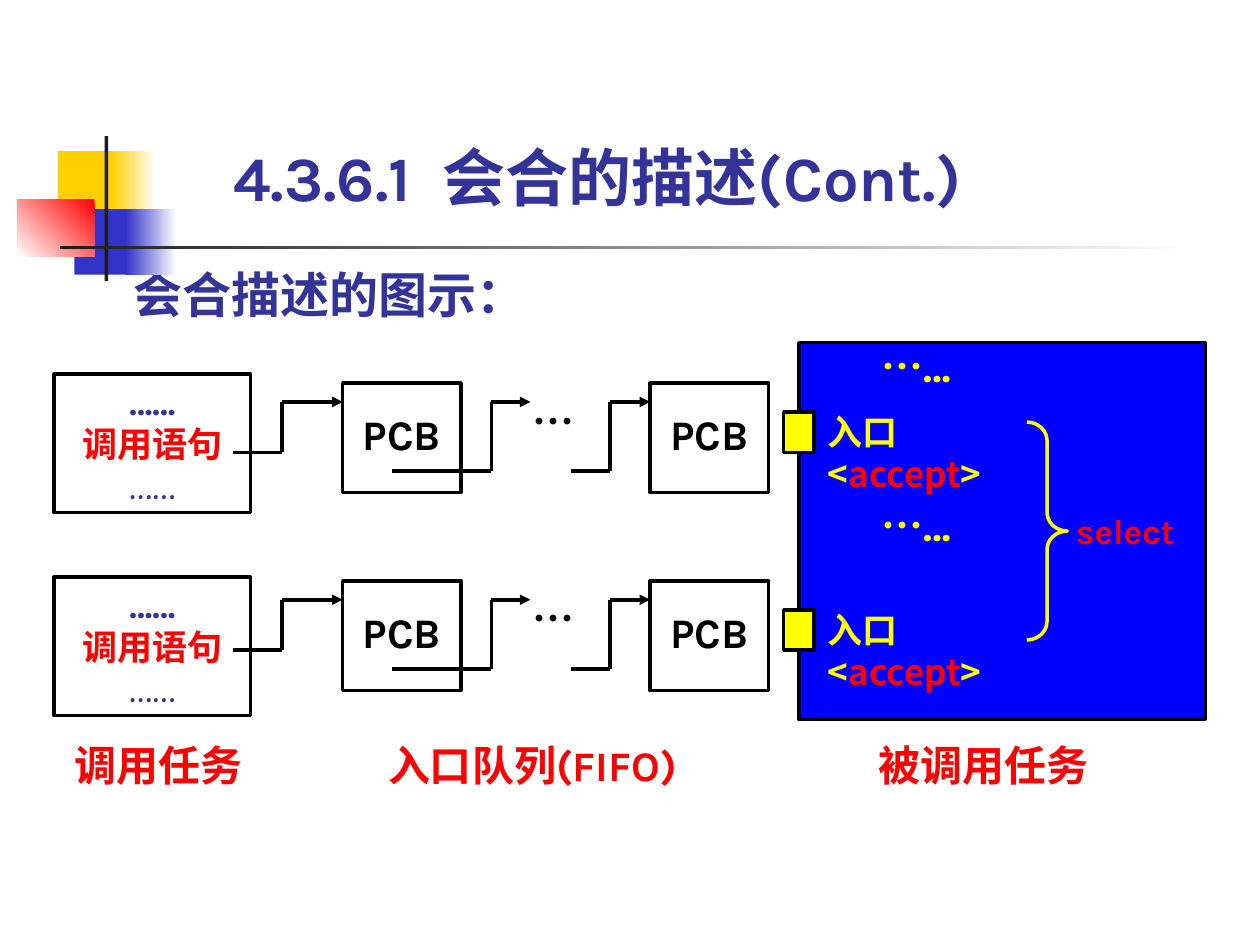
from pptx import Presentation
from pptx.dml.color import RGBColor
from pptx.enum.shapes import MSO_CONNECTOR, MSO_SHAPE
from pptx.enum.text import MSO_ANCHOR, MSO_AUTO_SIZE, PP_ALIGN
from pptx.oxml.ns import qn
from pptx.util import Inches, Pt
from lxml import etree

RECT, BRACE = MSO_SHAPE.RECTANGLE, MSO_SHAPE.RIGHT_BRACE
STRAIGHT = MSO_CONNECTOR.STRAIGHT
LEFT, CENTER = PP_ALIGN.LEFT, PP_ALIGN.CENTER
TOP, MIDDLE, BOTTOM = MSO_ANCHOR.TOP, MSO_ANCHOR.MIDDLE, MSO_ANCHOR.BOTTOM
NO_FIT = MSO_AUTO_SIZE.NONE

BLACK = RGBColor(0x00, 0x00, 0x00)
WHITE = RGBColor(0xFF, 0xFF, 0xFF)
DARK = RGBColor(0x1C, 0x1C, 0x1C)
RED = RGBColor(0xFF, 0x00, 0x00)
YELLOW = RGBColor(0xFF, 0xFF, 0x00)
GOLD = RGBColor(0xFF, 0xCF, 0x01)
BLUE = RGBColor(0x00, 0x00, 0xFF)
INDIGO = RGBColor(0x33, 0x33, 0xCC)
NAVY = RGBColor(0x33, 0x33, 0x99)
KARLA, COMIC, NOTO = "Karla", "Comic Neue", "Noto Sans CJK SC"

prs = Presentation()
prs.slide_width, prs.slide_height = Inches(10), Inches(7.5)
s = prs.slides.add_slide(prs.slide_layouts[1])


def add_rect(box, fill=None, line=None, shape=RECT):
    """Add a shape; fill is None, a colour or (first colour, last colour, angle)."""
    sp = s.shapes.add_shape(shape, *[Inches(v) for v in box])
    sp.shadow.inherit = False
    if fill is None:
        sp.fill.background()
    elif isinstance(fill, RGBColor):
        sp.fill.solid()
        sp.fill.fore_color.rgb = fill
    else:
        sp.fill.gradient()
        sp.fill.gradient_angle = fill[2]
        for stop, color in zip(sp.fill.gradient_stops, fill):
            stop.color.rgb = color
    if line is None:
        sp.line.fill.background()
    else:
        sp.line.color.rgb = line
        sp.line.width = Pt(2)
    return sp


def write(sp, paragraphs, size, align=LEFT, anchor=TOP, insets=(0, 0, 0, 0), spacing=None):
    """Fill a shape with bold text; each paragraph is a list of (text, font, colour)."""
    tf = sp.text_frame
    tf.word_wrap, tf.auto_size, tf.vertical_anchor = True, NO_FIT, anchor
    tf.margin_left, tf.margin_top, tf.margin_right, tf.margin_bottom = [Inches(v) for v in insets]
    for i, runs in enumerate(paragraphs):
        p = tf.add_paragraph() if i else tf.paragraphs[0]
        p.alignment, p.line_spacing, p.space_before = align, spacing, Pt(0)
        for text, font, color in runs:
            if text == "\n":
                p.add_line_break()
                continue
            r = p.add_run()
            r.text = text
            r.font.name, r.font.size, r.font.bold = font, Pt(size), True
            r.font.color.rgb = color
            etree.SubElement(r.font._element, qn("a:ea"), typeface=font)


# Corner decoration and rule under the title
for box, fill in (
    ((0.46, 1.2, 0.48, 0.52), GOLD),
    ((0.88, 1.2, 0.36, 0.52), (WHITE, GOLD, 180)),
    ((0.59, 1.66, 0.46, 0.52), INDIGO),
    ((1, 1.66, 0.4, 0.52), (WHITE, INDIGO, 180)),
    ((0.14, 1.58, 0.61, 0.46), (RED, WHITE, 225)),
    ((0.83, 1.08, 0.03, 1.15), DARK),
    ((0.48, 1.95, 9, 0.03), (WHITE, DARK, 180)),
):
    add_rect(box, fill)

# Title and subheading
title, body = s.placeholders
for sp, box, text, size in (
    (title, (1.85, 1.1, 6.61, 0.6), "4.3.6.1  会合的描述(Cont.)", 36),
    (body, (1.06, 2.1, 3.7, 0.47), "会合描述的图示：", 28),
):
    sp.left, sp.top, sp.width, sp.height = [Inches(v) for v in box]
    write(sp, [[(text, KARLA, NAVY)]], size, anchor=BOTTOM)
pPr = body.text_frame.paragraphs[0]._p.get_or_add_pPr()
pPr.set("marL", "0")
pPr.set("indent", "0")
etree.SubElement(pPr, qn("a:buNone"))

# Called task
add_rect((6.34, 2.72, 3.23, 2.99), BLUE, BLACK)
for top in (2.88, 4.14):
    sp = s.shapes.add_textbox(Inches(6.7), Inches(top), Inches(1.14), Inches(0.2))
    write(sp, [[("…", NOTO, YELLOW), ("…", KARLA, YELLOW)]], 24, CENTER, spacing=0.5)

# One row per calling task: statement, queue of PCBs, entry
for call_top, row in ((2.97, 3.04), (4.58, 4.61)):
    sp = add_rect((0.43, call_top, 1.56, 1.1), None, BLACK)
    write(sp, [[("……", KARLA, NAVY)], [("调用语句", COMIC, RED)], [("……", COMIC, NAVY)]],
          20, CENTER, MIDDLE, (0.02, 0.05, 0.02, 0.05))

    for left in (2.72, 5.16):
        sp = add_rect((left, row, 0.94, 0.87), None, BLACK)
        write(sp, [[("PCB", KARLA, BLACK)]], 24, CENTER, insets=(0, 0.2, 0, 0))

    # Stepped arrows: start, bend and end across, then the drop of the start
    for start, bend, end, drop in (
        (1.85, 2.24, 2.72, 0.55),
        (3.11, 3.9, 4.21, 0.7),
        (4.53, 4.84, 5.16, 0.7),
    ):
        high, low = row + 0.15, row + drop
        points = [(start, low), (bend, low), (bend, high), (end, high)]
        for a, b in zip(points, points[1:]):
            line = s.shapes.add_connector(STRAIGHT, *[Inches(v) for v in a + b])
            line.line.color.rgb = BLACK
            line.line.width = Pt(2)
            if b == points[-1]:
                etree.SubElement(line.line._get_or_add_ln(), qn("a:tailEnd"), type="triangle")
            etree.SubElement(line._element.spPr, qn("a:effectLst"))

    sp = s.shapes.add_textbox(Inches(4.06), Inches(row + 0.27), Inches(0.67), Inches(0.2))
    write(sp, [[("…", NOTO, BLACK)]], 24, CENTER, spacing=0.5)

    add_rect((6.22, row + 0.23, 0.24, 0.32), YELLOW, BLACK)
    sp = s.shapes.add_textbox(Inches(6.57), Inches(row + 0.22), Inches(1.81), Inches(0.67))
    write(sp, [[("入口", NOTO, YELLOW), ("\n", NOTO, YELLOW), ("<", NOTO, YELLOW),
                ("accept", NOTO, RED), (">", NOTO, YELLOW)]], 20, spacing=Pt(24))

# Brace joining both entries
sp = add_rect((8.15, 3.35, 0.32, 1.73), None, YELLOW, BRACE)
sp.adjustments[0] = 0.46

# Labels
for left, top, width, height, text, size in (
    (8.54, 4.04, 0.95, 0.33, "select", 20),
    (0.59, 5.87, 1.42, 0.4, "调用任务", 24),
    (3.08, 5.87, 2.7, 0.4, "入口队列(FIFO)", 24),
    (6.97, 5.87, 1.73, 0.4, "被调用任务", 24),
):
    sp = s.shapes.add_textbox(Inches(left), Inches(top), Inches(width), Inches(height))
    write(sp, [[(text, KARLA, RED)]], size)

prs.save("out.pptx")
